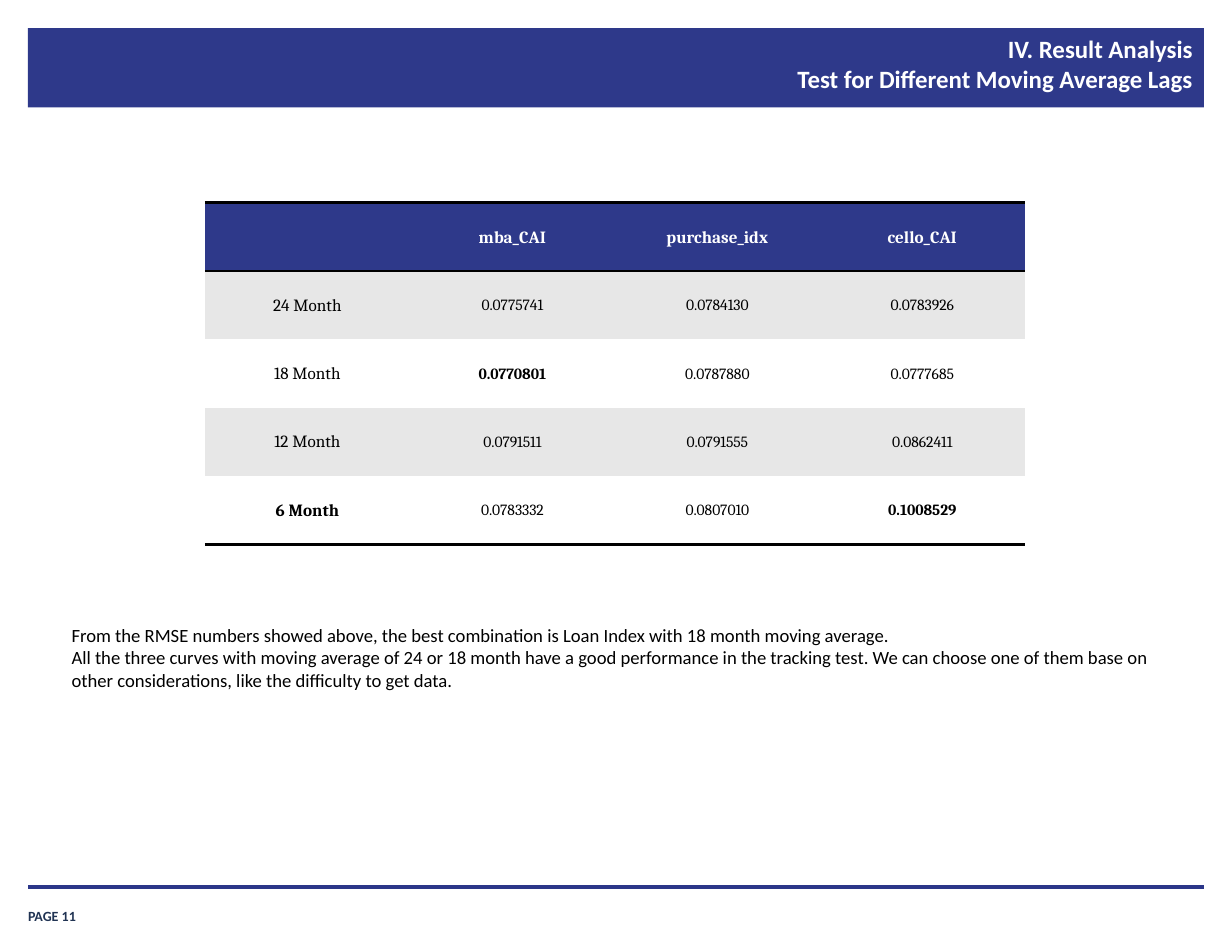
from lxml.etree import SubElement
from pptx import Presentation
from pptx.dml.color import RGBColor
from pptx.enum.shapes import MSO_CONNECTOR, MSO_SHAPE
from pptx.enum.text import MSO_ANCHOR, PP_ALIGN
from pptx.oxml.ns import qn
from pptx.util import Inches, Pt

# Content
TITLE = "IV. Result Analysis\vTest for Different Moving Average Lags"
PAGE = "PAGE 11"
NOTES = [
    "From the RMSE numbers showed above, the best combination is Loan Index "
    "with 18 month moving average.",
    "All the three curves with moving average of 24 or 18 month have a good "
    "performance in the tracking test. We can choose one of them base on "
    "other considerations, like the difficulty to get data.",
]
ROWS = [
    ("", "mba_CAI", "purchase_idx", "cello_CAI"),
    ("24 Month", "0.0775741", "0.0784130", "0.0783926"),
    ("18 Month", "0.0770801", "0.0787880", "0.0777685"),
    ("12 Month", "0.0791511", "0.0791555", "0.0862411"),
    ("6 Month", "0.0783332", "0.0807010", "0.1008529"),
]
STRONG = {"0.0770801", "6 Month", "0.1008529"}

# Formats
COLOR = {"band": "2E398A", "rule": "2B3689", "page": "203353",
         "white": "FFFFFF", "black": "000000", "gray": "E7E7E7"}
FONT = {
    "title": {"name": "Calibri", "size": Pt(16), "bold": True},
    "page": {"name": "Calibri", "size": Pt(9), "bold": True},
    "note": {"name": "Calibri", "size": Pt(12), "bold": False},
    "label": {"name": "Cambria", "size": Pt(11)},
    "value": {"name": "Cambria", "size": Pt(10)},
}
PLAIN_GRID = "{2D5ABB26-0587-4C30-8999-92F81FD0307C}"


def rgb(name):
    return RGBColor.from_string(COLOR[name])


def apply(part, values):
    for key, value in values.items():
        setattr(part, key, value)


def margins(left, top, right, bottom):
    return {"margin_left": Inches(left), "margin_top": Inches(top),
            "margin_right": Inches(right), "margin_bottom": Inches(bottom)}


def style(para, kind, color, align=PP_ALIGN.LEFT):
    para.alignment = align
    apply(para.font, FONT[kind])
    para.font.color.rgb = rgb(color)


def add_text(slide, box, lines, kind, color, frame, align=PP_ALIGN.LEFT):
    text = slide.shapes.add_textbox(*map(Inches, box)).text_frame
    apply(text, {"word_wrap": True, **frame})
    text.text = "\n".join(lines)
    for para in text.paragraphs:
        style(para, kind, color, align)


def add_edge(cell, side):
    line = SubElement(cell._tc.get_or_add_tcPr(), qn("a:ln" + side),
                      w=str(Pt(2)))
    fill = SubElement(line, qn("a:solidFill"))
    SubElement(fill, qn("a:srgbClr"), val=COLOR["black"])


def add_grid(slide, left, top, wide, high):
    count, cols = len(ROWS), len(ROWS[0])
    table = slide.shapes.add_table(
        count, cols, *map(Inches, (left, top, wide * cols, high * count))).table
    apply(table, {"first_row": False, "horz_banding": False})
    table._tbl.tblPr.find(qn("a:tableStyleId")).text = PLAIN_GRID
    for r, row in enumerate(ROWS):
        head = r == 0
        sides = "TB" if head else "B" if r == count - 1 else ""
        back = "band" if head else "gray" if r % 2 else "white"
        for c, word in enumerate(row):
            cell = table.cell(r, c)
            for side in sides:
                add_edge(cell, side)
            cell.fill.solid()
            cell.fill.fore_color.rgb = rgb(back)
            apply(cell, {"vertical_anchor": MSO_ANCHOR.MIDDLE,
                         **margins(0.01, 0.01, 0.01, 0)})
            cell.text = word
            para = cell.text_frame.paragraphs[0]
            style(para, "label" if head or c == 0 else "value",
                  "white" if head else "black", PP_ALIGN.CENTER)
            para.font.bold = head or word in STRONG


def main():
    deck = Presentation()
    apply(deck, {"slide_width": Inches(11), "slide_height": Inches(8.5)})
    slide = deck.slides.add_slide(deck.slide_layouts[6])

    # Header band
    band = slide.shapes.add_shape(
        MSO_SHAPE.RECTANGLE, *map(Inches, (0.25, 0.25, 10.5, 0.71)))
    band.shadow.inherit = False
    band.fill.solid()
    band.fill.fore_color.rgb = rgb("band")
    band.line.fill.background()

    # Footer
    add_text(slide, (0.25, 8.02, 0.91, 0.23), [PAGE], "page", "page",
             {"vertical_anchor": MSO_ANCHOR.BOTTOM, **margins(0, 0, 0, 0)})
    rule = slide.shapes.add_connector(
        MSO_CONNECTOR.STRAIGHT, *map(Inches, (0.25, 7.92, 10.75, 7.92)))
    rule.line.color.rgb = rgb("rule")
    rule.line.width = Pt(2)
    SubElement(rule._element.spPr, qn("a:effectLst"))

    # Title, notes and table
    add_text(slide, (3.32, 0.24, 7.44, 0.74), [TITLE], "title", "white",
             margins(0.11, 0.06, 0.11, 0.06), PP_ALIGN.RIGHT)
    add_text(slide, (0.54, 5.52, 9.85, 0.71), NOTES, "note", "black", {})
    add_grid(slide, 1.83, 1.81, 1.83, 0.61)

    deck.save("out.pptx")


if __name__ == "__main__":
    main()
